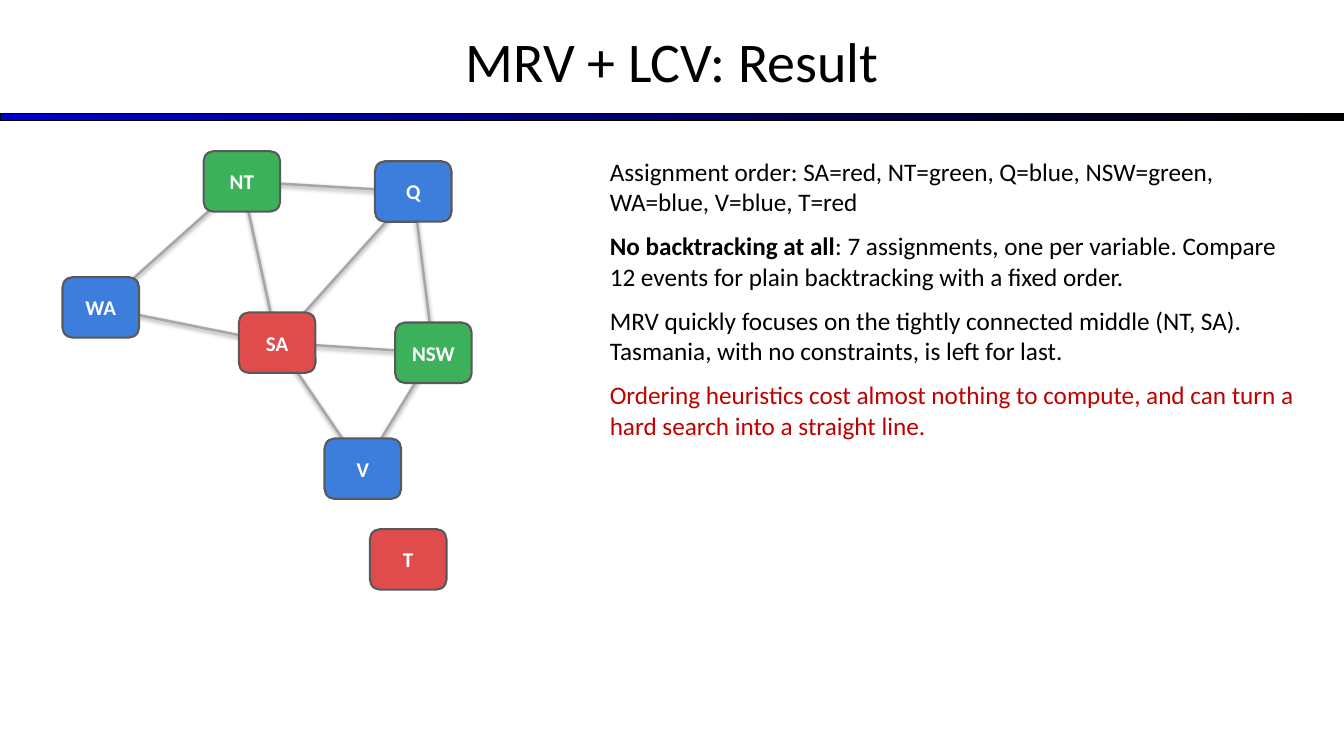
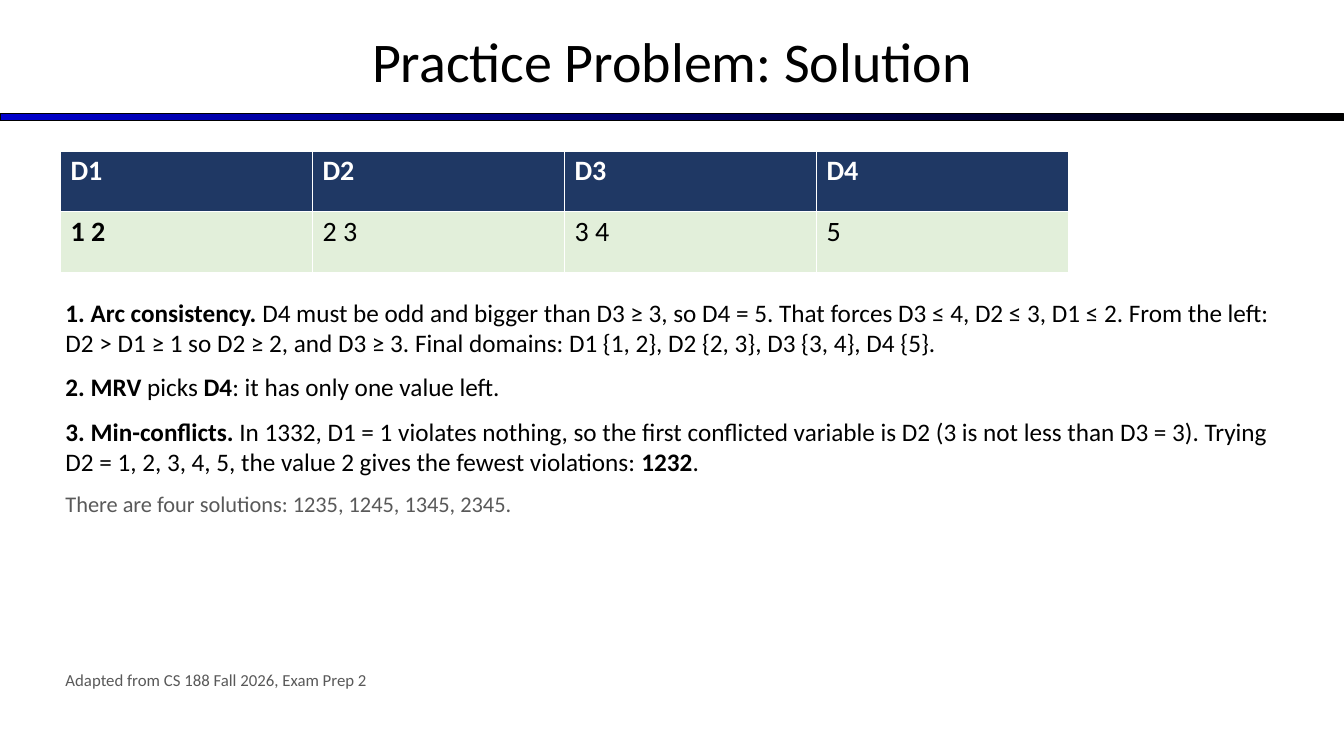
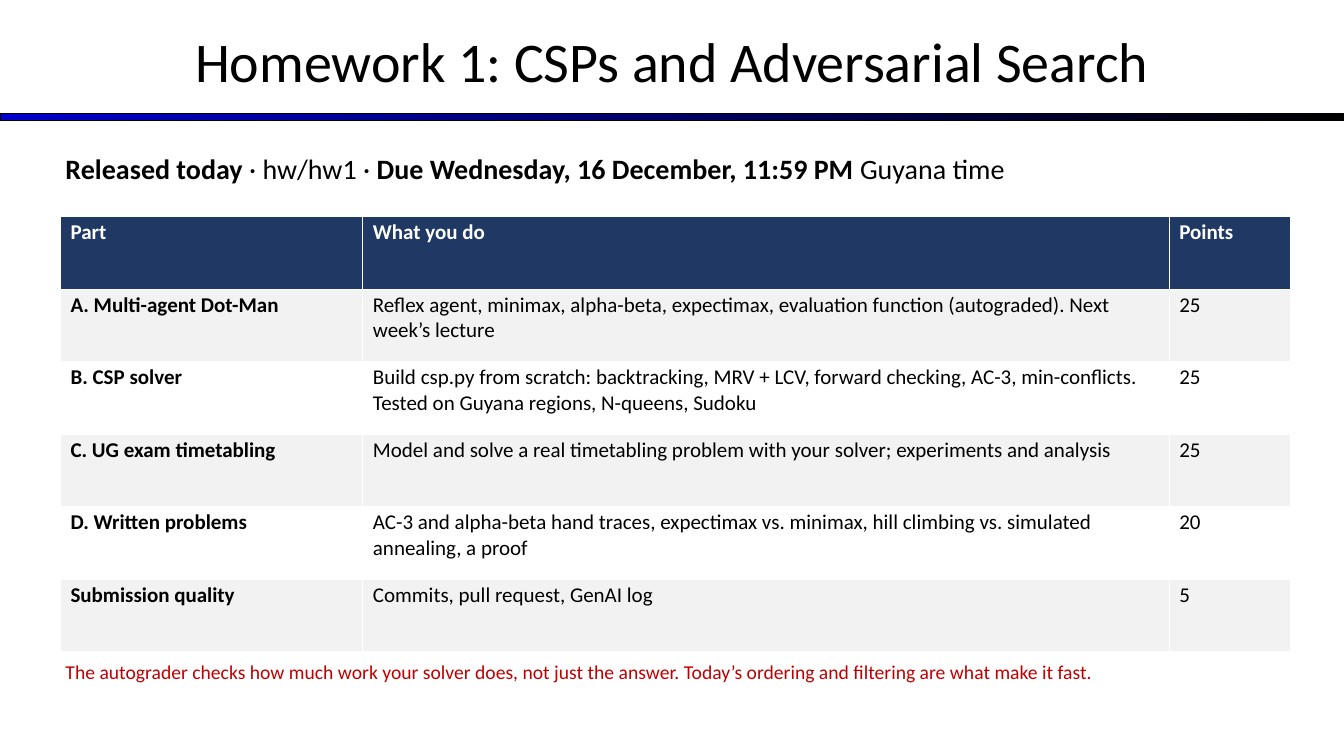
from pptx import Presentation
from pptx.dml.color import RGBColor
from pptx.enum.shapes import MSO_CONNECTOR, MSO_SHAPE
from pptx.enum.text import MSO_ANCHOR, MSO_AUTO_SIZE, PP_ALIGN
from pptx.util import Pt

RECT = MSO_SHAPE.RECTANGLE
ROUND = MSO_SHAPE.ROUNDED_RECTANGLE
STRAIGHT = MSO_CONNECTOR.STRAIGHT
MIDDLE = MSO_ANCHOR.MIDDLE
CENTER = PP_ALIGN.CENTER
FIXED = MSO_AUTO_SIZE.NONE

FONT = "Calibri"
BLACK, WHITE, GRAY = "000000", "FFFFFF", "595959"
NAVY, PALE, MINT = "1F3864", "F2F2F2", "E2EFDA"
ALERT, EDGE = "C00000", "A6A6A6"
RED, GREEN, BLUE = "E04B4B", "3CB05A", "3D7DDB"

WIDTH, HEIGHT = 960, 540
LEFT, SPAN = 43.2, 878.4
NODE_W, NODE_H = 54.72, 43.2

# Centre of each region on the map, and its colour
NODES = {
    "WA": (72, 219.6, BLUE),
    "NT": (172.8, 129.6, GREEN),
    "SA": (198, 244.8, RED),
    "Q": (295.2, 136.8, BLUE),
    "NSW": (309.6, 252, GREEN),
    "V": (259.2, 334.8, BLUE),
    "T": (291.6, 399.6, RED),
}
LINKS = [
    ("NT", "WA"), ("NT", "SA"), ("NT", "Q"),
    ("SA", "WA"), ("SA", "V"), ("Q", "SA"),
    ("NSW", "Q"), ("NSW", "SA"), ("NSW", "V"),
]

RESULT = [
    "Assignment order: SA=red, NT=green, Q=blue, NSW=green, WA=blue, V=blue, T=red",
    "**No backtracking at all**: 7 assignments, one per variable. Compare 12 events "
    "for plain backtracking with a fixed order.",
    "MRV quickly focuses on the tightly connected middle (NT, SA). Tasmania, with no "
    "constraints, is left for last.",
    ("Ordering heuristics cost almost nothing to compute, and can turn a hard search "
     "into a straight line.", 18, ALERT),
]
ANSWERS = [
    "**1. Arc consistency.** D4 must be odd and bigger than D3 ≥ 3, so D4 = 5. That "
    "forces D3 ≤ 4, D2 ≤ 3, D1 ≤ 2. From the left: D2 > D1 ≥ 1 so D2 ≥ 2, and D3 ≥ 3. "
    "Final domains: D1 {1, 2}, D2 {2, 3}, D3 {3, 4}, D4 {5}.",
    "**2. MRV** picks **D4**: it has only one value left.",
    "**3. Min-conflicts.** In 1332, D1 = 1 violates nothing, so the first conflicted "
    "variable is D2 (3 is not less than D3 = 3). Trying D2 = 1, 2, 3, 4, 5, the value "
    "2 gives the fewest violations: **1232**.",
    ("There are four solutions: 1235, 1245, 1345, 2345.", 16, GRAY),
]
DOMAINS = [["D1", "D2", "D3", "D4"], ["1 2", "2 3", "3 4", "5"]]
PARTS = [
    ["Part", "What you do", "Points"],
    ["A. Multi-agent Dot-Man",
     "Reflex agent, minimax, alpha-beta, expectimax, evaluation function "
     "(autograded). Next week’s lecture", "25"],
    ["B. CSP solver",
     "Build csp.py from scratch: backtracking, MRV + LCV, forward checking, AC-3, "
     "min-conflicts. Tested on Guyana regions, N-queens, Sudoku", "25"],
    ["C. UG exam timetabling",
     "Model and solve a real timetabling problem with your solver; experiments and "
     "analysis", "25"],
    ["D. Written problems",
     "AC-3 and alpha-beta hand traces, expectimax vs. minimax, hill climbing vs. "
     "simulated annealing, a proof", "20"],
    ["Submission quality", "Commits, pull request, GenAI log", "5"],
]


def rgb(code):
    return RGBColor.from_string(code)


def box(*lengths):
    return [Pt(n) for n in lengths]


def style(para, size, color, bold=None):
    for run in para.runs:
        font = run.font
        font.name, font.size = FONT, Pt(size)
        font.color.rgb = rgb(color)
        if bold is not None:
            font.bold = bold


def inset(frame, side, top):
    frame.margin_left = frame.margin_right = Pt(side)
    frame.margin_top = frame.margin_bottom = Pt(top)


def outline(shape, color, width):
    shape.line.color.rgb = rgb(color)
    shape.line.width = Pt(width)


def add_bar(slide):
    """Put the gradient rule on the layout, so that every slide shows it."""
    bar = slide.shapes.add_shape(RECT, *box(0, 81.2, WIDTH, 5.2))
    bar.shadow.inherit = False
    bar.fill.gradient()
    bar.fill.gradient_angle = 0
    for stop, color in zip(bar.fill.gradient_stops, ("0000CC", BLACK)):
        stop.color.rgb = rgb(color)
    outline(bar, BLACK, 0.75)
    slide.slide_layout.shapes.element.append(bar.element)


def add_slide(deck, text):
    slide = deck.slides.add_slide(deck.slide_layouts[5])
    title = slide.shapes.title
    title.left, title.top, title.width, title.height = box(0, -2, WIDTH, 90)
    frame = title.text_frame
    frame.text = text
    frame.auto_size = FIXED
    frame.vertical_anchor = MIDDLE
    para = frame.paragraphs[0]
    para.alignment = CENTER
    style(para, 40, BLACK)
    return slide


def add_text(slide, place, items, size=18, color=BLACK, after=10):
    """Write paragraphs; ** marks bold, and a tuple sets its own size and colour."""
    frame = slide.shapes.add_textbox(*box(*place)).text_frame
    frame.word_wrap = True
    inset(frame, 3.6, 3.6)
    for i, item in enumerate(items):
        para = frame.add_paragraph() if i else frame.paragraphs[0]
        para.space_after = Pt(after)
        text, *look = item if isinstance(item, tuple) else (item, size, color)
        for j, part in enumerate(text.split("**")):
            if part:
                run = para.add_run()
                run.text = part
                run.font.bold = j % 2 == 1
        style(para, *look)


def add_table(slide, top, cols, height, rows, size, fills):
    """Draw a table with a dark head, a bold first column and cycled row fills."""
    place = box(LEFT, top, sum(cols), height * len(rows))
    table = slide.shapes.add_table(len(rows), len(cols), *place).table
    for col, width in zip(table.columns, cols):
        col.width = Pt(width)
    for r, row in enumerate(rows):
        table.rows[r].height = Pt(height)
        for c, text in enumerate(row):
            cell = table.cell(r, c)
            cell.text = text
            inset(cell, 7.2, 2.16)
            cell.fill.solid()
            cell.fill.fore_color.rgb = rgb(fills[(r - 1) % len(fills)] if r else NAVY)
            para = cell.text_frame.paragraphs[0]
            style(para, size, BLACK if r else WHITE, r == 0 or c == 0)


def add_link(slide, start, end):
    ends = NODES[start][:2] + NODES[end][:2]
    outline(slide.shapes.add_connector(STRAIGHT, *box(*ends)), EDGE, 1.75)


def add_node(slide, name, x, y, color):
    place = box(x - NODE_W / 2, y - NODE_H / 2, NODE_W, NODE_H)
    node = slide.shapes.add_shape(ROUND, *place)
    node.shadow.inherit = False
    node.fill.solid()
    node.fill.fore_color.rgb = rgb(color)
    outline(node, GRAY, 1.5)
    frame = node.text_frame
    frame.text = name
    frame.vertical_anchor = MIDDLE
    inset(frame, 0, 0)
    para = frame.paragraphs[0]
    para.alignment = CENTER
    style(para, 15, WHITE, True)


def main():
    deck = Presentation()
    deck.slide_width, deck.slide_height = box(WIDTH, HEIGHT)

    slide = add_slide(deck, "MRV + LCV: Result")
    add_bar(slide)
    for link in LINKS:
        add_link(slide, *link)
    for name, spot in NODES.items():
        add_node(slide, name, *spot)
    add_text(slide, (432, 108, 504, 360), RESULT)

    slide = add_slide(deck, "Practice Problem: Solution")
    add_table(slide, 108, [180] * 4, 43.2, DOMAINS, 20, [MINT])
    add_text(slide, (LEFT, 208.8, SPAN, 273.6), ANSWERS)
    add_text(slide, (LEFT, 475.2, SPAN, 21.6),
             ["Adapted from CS 188 Fall 2026, Exam Prep 2"], 12, GRAY, 4)

    slide = add_slide(deck, "Homework 1: CSPs and Adversarial Search")
    add_text(slide, (LEFT, 104.4, SPAN, 43.2),
             ["**Released today** · hw/hw1 · "
              "**Due Wednesday, 16 December, 11:59 PM** Guyana time"], 20, BLACK, 4)
    add_table(slide, 154.8, [216, 576, 86.4], 51.84, PARTS, 15, [PALE, WHITE])
    add_text(slide, (LEFT, 468, SPAN, 28.8),
             ["The autograder checks how much work your solver does, not just the "
              "answer. Today’s ordering and filtering are what make it fast."],
             14, ALERT, 4)

    deck.save("out.pptx")


if __name__ == "__main__":
    main()
